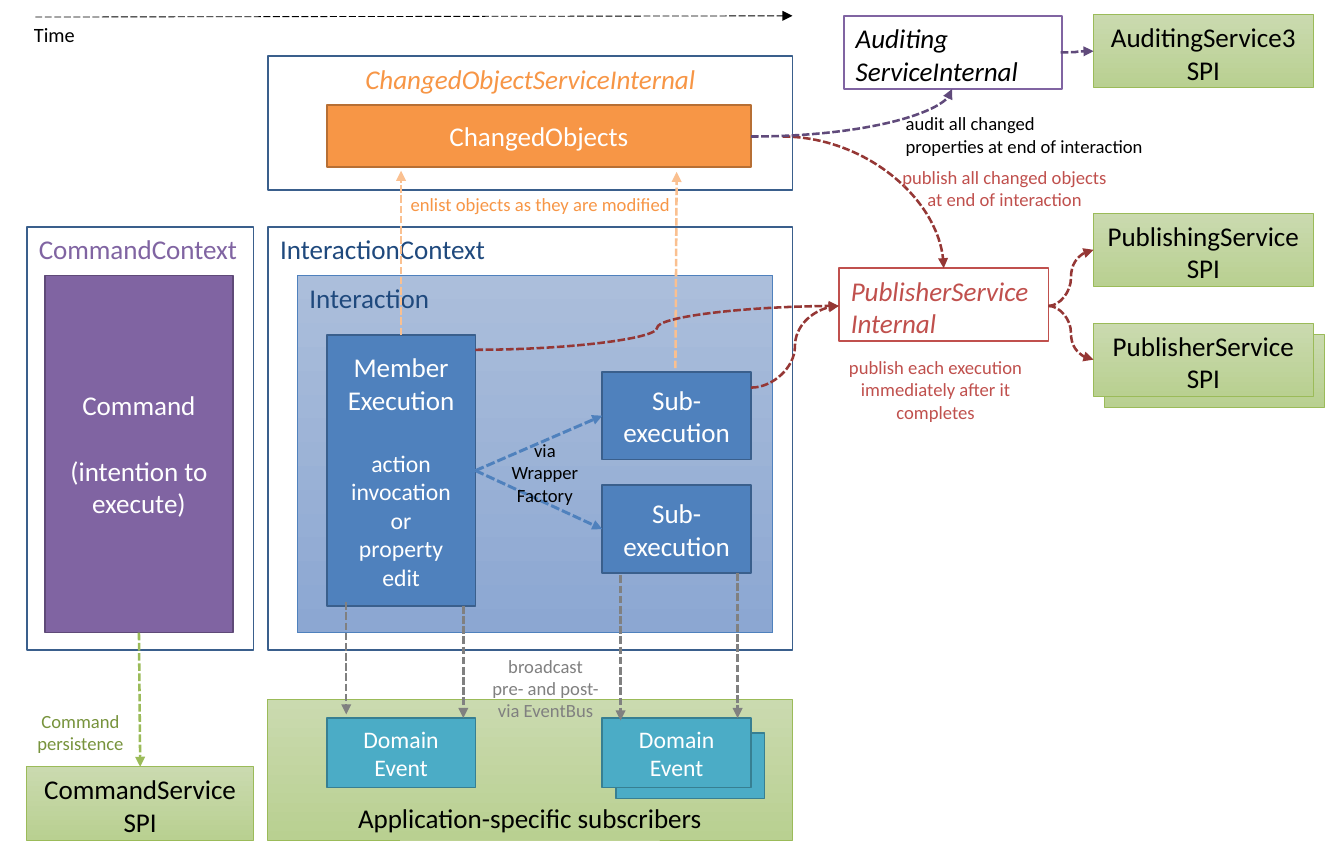
import copy

import pptx
import pptx.util
from lxml import etree
from pptx.dml.color import RGBColor
from pptx.enum.dml import MSO_LINE
from pptx.enum.shapes import MSO_CONNECTOR, MSO_SHAPE
from pptx.enum.text import MSO_ANCHOR, MSO_AUTO_SIZE, PP_ALIGN
from pptx.oxml.ns import qn
from pptx.util import Inches, Pt

BLACK = RGBColor(0x00, 0x00, 0x00)
WHITE = RGBColor(0xFF, 0xFF, 0xFF)
GRAY = RGBColor(0x80, 0x80, 0x80)
NAVY = RGBColor(0x1F, 0x49, 0x7D)
BLUE = RGBColor(0x4F, 0x81, 0xBD)
BLUE_EDGE = RGBColor(0x3A, 0x5F, 0x8C)
PURPLE = RGBColor(0x80, 0x64, 0xA2)
PURPLE_EDGE = RGBColor(0x5F, 0x4A, 0x78)
PURPLE_DARK = RGBColor(0x60, 0x4A, 0x7B)
ORANGE = RGBColor(0xF7, 0x96, 0x46)
ORANGE_EDGE = RGBColor(0xB7, 0x6F, 0x34)
ORANGE_LIGHT = RGBColor(0xFA, 0xC0, 0x90)
TEAL = RGBColor(0x4B, 0xAC, 0xC6)
TEAL_EDGE = RGBColor(0x37, 0x7F, 0x92)
RED = RGBColor(0xC0, 0x50, 0x4D)
RED_DARK = RGBColor(0x95, 0x37, 0x35)
GREEN = RGBColor(0x9B, 0xBB, 0x59)
GREEN_DARK = RGBColor(0x77, 0x93, 0x3C)
# Gradients run from the top colour to the bottom colour
GREEN_FADE = (RGBColor(0xCA, 0xDA, 0xAF), RGBColor(0xB9, 0xD0, 0x91))
BLUE_FADE = (RGBColor(0xAB, 0xBE, 0xDB), RGBColor(0x8C, 0xA7, 0xD2))

LEFT, CENTER = PP_ALIGN.LEFT, PP_ALIGN.CENTER
TOP, MIDDLE, BOTTOM = MSO_ANCHOR.TOP, MSO_ANCHOR.MIDDLE, MSO_ANCHOR.BOTTOM
SITE_TOP, SITE_LEFT, SITE_BOTTOM, SITE_RIGHT = range(4)

# The slide measures 28 by 18 centimetres
presentation = pptx.Presentation()
presentation.slide_width = Inches(28 / 2.54)
presentation.slide_height = Inches(18 / 2.54)
slide = presentation.slides.add_slide(presentation.slide_layouts[6])


def write_text(frame, text, color, align, size=16, italic=False):
    """Write text where \\n starts a paragraph and \\v breaks a line."""
    font_format = {"name": "Calibri", "size": Pt(size), "italic": italic}
    frame.text = text
    for paragraph in frame.paragraphs:
        paragraph.alignment = align
        for run in paragraph.runs:
            run.font.color.rgb = color
            for name, value in font_format.items():
                setattr(run.font, name, value)


def add_box(left, top, width, height, fill, edge):
    """Add a rectangle with a plain, graded or missing fill."""
    shape = slide.shapes.add_shape(
        MSO_SHAPE.RECTANGLE, Inches(left), Inches(top), Inches(width), Inches(height))
    shape.shadow.inherit = False
    shape.line.color.rgb = edge
    shape.line.width = Pt(1)
    if fill is None:
        shape.fill.background()
    elif isinstance(fill, RGBColor):
        shape.fill.solid()
        shape.fill.fore_color.rgb = fill
    else:
        shape.line.width = Pt(0.5)
        shape.fill.gradient()
        shape.fill.gradient_angle = 270
        for stop, color in zip(shape.fill.gradient_stops, fill):
            stop.color.rgb = color
    return shape


# Boxes with text, from back to front; the stacked ones have a plain box behind
add_box(9.06, 2.74, 1.8, 0.6, GREEN_FADE, GREEN)
subscribers = add_box(2.19, 5.74, 4.31, 1.15, GREEN_FADE, GREEN)
subscribers.text_frame.vertical_anchor = BOTTOM
write_text(subscribers.text_frame, "Application-specific subscribers", BLACK, CENTER)
add_box(5.05, 6.01, 1.22, 0.54, TEAL, TEAL_EDGE)

text_boxes = [
    # key, place, fill, edge, text, colour, alignment, anchor, font format
    ("interaction", (2.44, 2.26, 3.9, 2.93), BLUE_FADE, BLUE,
     "Interaction", NAVY, LEFT, TOP, {}),
    ("command", (0.37, 2.26, 1.54, 2.93), PURPLE, PURPLE_EDGE,
     "Command\n(intention to execute)", WHITE, CENTER, MIDDLE, {}),
    ("member", (2.68, 2.75, 1.22, 2.22), BLUE, BLUE_EDGE,
     "Member\vExecution\naction invocation or\vproperty edit", WHITE, CENTER, MIDDLE, {}),
    ("first sub", (4.94, 3.05, 1.22, 0.72), BLUE, BLUE_EDGE,
     "Sub-execution", WHITE, CENTER, MIDDLE, {}),
    ("second sub", (4.94, 3.98, 1.22, 0.72), BLUE, BLUE_EDGE,
     "Sub-execution", WHITE, CENTER, MIDDLE, {}),
    ("first event", (2.68, 5.89, 1.22, 0.57), TEAL, TEAL_EDGE,
     "Domain\nEvent", WHITE, CENTER, MIDDLE, {"size": 14}),
    ("second event", (4.94, 5.89, 1.22, 0.57), TEAL, TEAL_EDGE,
     "Domain\nEvent", WHITE, CENTER, MIDDLE, {"size": 14}),
    ("changed service", (2.2, 0.46, 4.3, 1.1), None, BLUE_EDGE,
     "ChangedObjectServiceInternal", ORANGE, CENTER, TOP, {"italic": True}),
    ("changed objects", (2.68, 0.86, 3.48, 0.51), ORANGE, ORANGE_EDGE,
     "ChangedObjects", WHITE, CENTER, MIDDLE, {}),
    ("interaction context", (2.2, 1.86, 4.3, 3.47), None, BLUE_EDGE,
     "InteractionContext", NAVY, LEFT, TOP, {}),
    ("publisher", (6.88, 2.2, 1.72, 0.6), WHITE, RED,
     "PublisherService\vInternal", RED, LEFT, TOP, {"italic": True}),
    ("auditing", (6.92, 0.13, 1.79, 0.6), WHITE, PURPLE,
     "Auditing\vServiceInternal", BLACK, LEFT, TOP, {"italic": True}),
    ("command context", (0.22, 1.86, 1.86, 3.47), None, BLUE_EDGE,
     "CommandContext", PURPLE, LEFT, TOP, {}),
    ("command service", (0.22, 6.29, 1.86, 0.6), GREEN_FADE, GREEN,
     "CommandService\vSPI", BLACK, CENTER, TOP, {}),
]
for top, text in [(0.12, "AuditingService3\vSPI"), (1.75, "PublishingService\nSPI"),
                  (2.65, "PublisherService\nSPI")]:
    text_boxes.append((text, (8.97, top, 1.8, 0.6), GREEN_FADE, GREEN,
                       text, BLACK, CENTER, TOP, {}))

boxes = {}
for key, place, fill, edge, text, color, align, anchor, font_format in text_boxes:
    boxes[key] = add_box(*place, fill, edge)
    boxes[key].text_frame.vertical_anchor = anchor
    write_text(boxes[key].text_frame, text, color, align, **font_format)

# Gaps and smaller type inside the two tall boxes
for key in ("command", "member"):
    boxes[key].text_frame.paragraphs[1].space_before = Pt(19.5)
for run in boxes["member"].text_frame.paragraphs[1].runs:
    run.font.size = Pt(14)

# Arrows: an end is a point, or a box with the side it is joined to
STRAIGHT, CURVE = MSO_CONNECTOR.STRAIGHT, MSO_CONNECTOR.CURVE
DASH = MSO_LINE.SQUARE_DOT
QUARTER = "curvedConnector2"
arrows = [
    # begin, end, kind, colour, width, dash, preset
    ((0.29, 0.14), (6.5, 0.13), STRAIGHT, BLACK, 0.5, MSO_LINE.LONG_DASH, None),
    (("command", SITE_BOTTOM), ("command service", SITE_TOP), STRAIGHT, GREEN, 1.5, DASH, None),
    (("member", SITE_TOP), (3.29, 1.4), STRAIGHT, ORANGE_LIGHT, 1.5, DASH, None),
    ((5.54, 3.02), (5.55, 1.41), STRAIGHT, ORANGE_LIGHT, 1.5, DASH, None),
    ((3.9, 2.87), (6.88, 2.51), CURVE, RED_DARK, 1.5, DASH, None),
    ((6.16, 3.18), (6.88, 2.51), CURVE, RED_DARK, 1.5, DASH, None),
    ((6.42, 1.12), (7.74, 2.2), CURVE, RED_DARK, 1.5, DASH, QUARTER),
    ((6.16, 1.12), (7.81, 0.73), CURVE, PURPLE_DARK, 1.5, DASH, QUARTER),
    ((8.7, 0.43), (8.97, 0.42), CURVE, PURPLE_DARK, 1.5, DASH, None),
    ((8.6, 2.51), (8.97, 2.05), CURVE, RED_DARK, 1.5, DASH, None),
    ((8.6, 2.51), (8.97, 2.95), CURVE, RED_DARK, 1.5, DASH, None),
]
for sub in ("first sub", "second sub"):
    arrows.append((("member", SITE_RIGHT), (sub, SITE_LEFT), STRAIGHT, BLUE, 1.75, DASH, None))
for x, top, bottom in [(2.84, 4.94, 5.86), (3.8, 4.97, 5.89),
                       (5.09, 4.72, 5.91), (6.05, 4.7, 5.89)]:
    arrows.append(((x, top), (x, bottom), STRAIGHT, GRAY, 1.5, DASH, None))

for begin, end, kind, color, width, dash, preset in arrows:
    points = [(0, 0) if isinstance(tip[0], str) else tip for tip in (begin, end)]
    connector = slide.shapes.add_connector(
        kind, *[Inches(value) for point in points for value in point])
    for tip, connect in [(begin, connector.begin_connect), (end, connector.end_connect)]:
        if isinstance(tip[0], str):
            connect(boxes[tip[0]], tip[1])
    connector.line.color.rgb = color
    connector.line.width = Pt(width)
    connector.line.dash_style = dash
    properties = connector._element.spPr
    if preset:
        properties.find(qn("a:prstGeom")).set("prst", preset)
    etree.SubElement(properties.find(qn("a:ln")), qn("a:tailEnd"), type="triangle")
    etree.SubElement(properties, qn("a:effectLst"))

# Labels beside the arrows
labels = [
    ((0.18, 0.13, 0.54, 0.3), "Time", BLACK, LEFT, 12),
    ((3.27, 1.53, 2.34, 0.29), "enlist objects as they are modified", ORANGE, LEFT, 11),
    ((6.86, 2.87, 1.63, 0.66),
     "publish each execution\vimmediately after it\ncompletes", RED, CENTER, 11),
    ((7.3, 1.31, 1.88, 0.47),
     "publish all changed objects\vat end of interaction", RED, CENTER, 11),
    ((7.33, 0.87, 2.17, 0.47),
     "audit all changed\vproperties at end of interaction", BLACK, LEFT, 11),
    ((3.93, 5.32, 1.09, 0.66), "broadcast\vpre- and post-\vvia EventBus", GRAY, CENTER, 11),
    ((0.2, 5.77, 0.92, 0.47), "Command\vpersistence", GREEN_DARK, CENTER, 11),
    ((4.09, 3.55, 0.76, 0.66), "via\vWrapper\vFactory", BLACK, CENTER, 11),
]
for place, text, color, align, size in labels:
    label = slide.shapes.add_textbox(*[Inches(value) for value in place])
    label.text_frame.word_wrap = False
    label.text_frame.auto_size = MSO_AUTO_SIZE.SHAPE_TO_FIT_TEXT
    write_text(label.text_frame, text, color, align, size)

# Line breaks take the type size of the run before them
for line_break in slide.shapes._spTree.iter(qn("a:br")):
    line_break.append(copy.deepcopy(line_break.getprevious().find(qn("a:rPr"))))

presentation.save("out.pptx")
